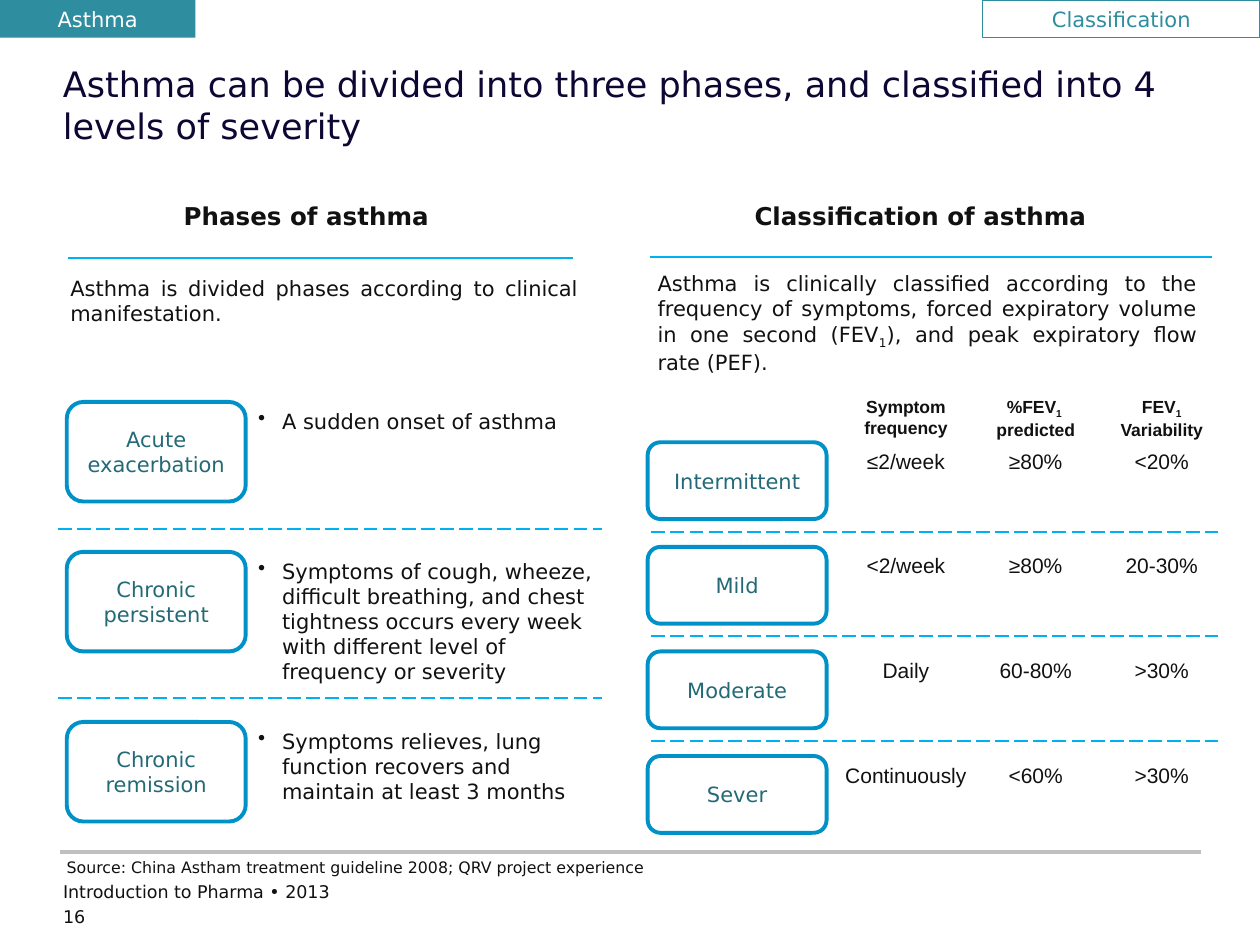
from lxml import etree
from pptx import Presentation
from pptx.dml.color import RGBColor
from pptx.enum import dml, shapes, text
from pptx.oxml.ns import qn
from pptx.util import Inches, Pt

TEAL = RGBColor(0x2E, 0x8D, 0x9E)
DARK_TEAL = RGBColor(0x23, 0x6A, 0x76)
BLUE = RGBColor(0x00, 0x91, 0xC8)
CYAN = RGBColor(0x00, 0xB0, 0xF0)
NAVY = RGBColor(0x0E, 0x07, 0x33)
INK = RGBColor(0x11, 0x11, 0x11)
GREY = RGBColor(0xC0, 0xC0, 0xC0)
WHITE = RGBColor(0xFF, 0xFF, 0xFF)
SANS, ARIAL = "DejaVu Sans", "Arial"
LEFT, CENTER, JUSTIFY = text.PP_ALIGN.LEFT, text.PP_ALIGN.CENTER, text.PP_ALIGN.JUSTIFY

PHASES = [
    (3.19, "Acute exacerbation", "A sudden onset of asthma"),
    (4.38, "Chronic persistent", "Symptoms of cough, wheeze, difficult breathing, and chest "
     "tightness occurs every week with different level of frequency or severity"),
    (5.73, "Chronic remission", "Symptoms relieves, lung function recovers and maintain "
     "at least 3 months"),
]
MEASURES = [
    (2.05, 1.13, "Symptom frequency"),
    (3.08, 1.27, "%FEV|1 |\npredicted"),
    (4.08, 1.11, "FEV|1| Variability"),
]
LEVELS = [
    ("Intermittent", "≤2/week", "≥80%", "<20%"),
    ("Mild", "<2/week", "≥80%", "20-30%"),
    ("Moderate", "Daily", "60-80%", ">30%"),
    ("Sever", "Continuously", "<60%", ">30%"),
]


def write(box, words, size=12, color=INK, font=SANS, bold=False, align=LEFT, inset=None):
    """Fill a box with text; pieces between bars become subscripts."""
    frame = box.text_frame
    frame.word_wrap = True
    if inset is not None:
        frame.margin_left = frame.margin_right = Inches(inset)
        frame.margin_top = frame.margin_bottom = Inches(inset)
    for index, line in enumerate(words.split("\n")):
        para = frame.paragraphs[0] if index == 0 else frame.add_paragraph()
        para.alignment = align
        para.font.size, para.font.name, para.font.bold = Pt(size), font, bold
        para.font.color.rgb = color
        for position, piece in enumerate(line.split("|")):
            if piece:
                span = para.add_run()
                span.text = piece
                if position % 2:
                    span.font._element.set("baseline", "-25000")


def add_text(page, left, top, width, height, words, **style):
    """Add a wrapped text box."""
    box = page.shapes.add_textbox(Inches(left), Inches(top), Inches(width), Inches(height))
    write(box, words, **style)
    return box


def add_panel(page, kind, left, top, width, height, words, color, fill=None, line=None, weight=0.75):
    """Add a labelled shape with centred text."""
    panel = page.shapes.add_shape(kind, Inches(left), Inches(top), Inches(width), Inches(height))
    panel.shadow.inherit = False
    if fill is None:
        panel.fill.background()
    else:
        panel.fill.solid()
        panel.fill.fore_color.rgb = fill
    if line is None:
        panel.line.fill.background()
    else:
        panel.line.color.rgb = line
        panel.line.width = Pt(weight)
    panel.text_frame.vertical_anchor = text.MSO_ANCHOR.MIDDLE
    write(panel, words, color=color, align=CENTER)


def add_label(page, left, top, height, words):
    """Add a rounded row label."""
    add_panel(page, shapes.MSO_SHAPE.ROUNDED_RECTANGLE, left, top, 1.42, height, words,
              DARK_TEAL, line=BLUE, weight=2.25)


def add_rule(page, left, top, width, color=CYAN, weight=1, dashed=False):
    """Add a horizontal rule."""
    rule = page.shapes.add_connector(shapes.MSO_CONNECTOR.STRAIGHT, Inches(left), Inches(top),
                                     Inches(left + width), Inches(top))
    rule.line.color.rgb = color
    rule.line.width = Pt(weight)
    if dashed:
        rule.line.dash_style = dml.MSO_LINE.LONG_DASH
    etree.SubElement(rule._element.spPr, qn("a:effectLst"))


def add_bullet(page, left, top, width, height, words):
    """Add a text box with one bulleted paragraph."""
    box = add_text(page, left, top, width, height, words)
    properties = box.text_frame.paragraphs[0]._p.get_or_add_pPr()
    properties.set("marL", str(Inches(0.19)))
    properties.set("indent", str(-Inches(0.19)))
    bullet = etree.Element(qn("a:buChar"), char="•")
    properties.insert_element_before(bullet, "a:tabLst", "a:defRPr", "a:extLst")


def add_header(page, left, top, width):
    """Place the corner tabs and the title."""
    rectangle = shapes.MSO_SHAPE.RECTANGLE
    add_panel(page, rectangle, left, top, 1.55, 0.3, "Asthma", WHITE, fill=TEAL)
    add_panel(page, rectangle, left + width - 2.2, top, 2.2, 0.3, "Classification", TEAL, line=TEAL)
    add_text(page, left + 0.5, top + 0.5, width - 1, 1,
             "Asthma can be divided into three phases, and classified into 4 levels of severity",
             size=20, color=NAVY, inset=0)


def add_phases(page, left, top):
    """Place the column of asthma phases."""
    add_text(page, left + 0.9, top, 2.52, 0.34, "Phases of asthma", size=14, bold=True)
    add_rule(page, left + 0.08, top + 0.5, 4.01)
    add_text(page, left, top + 0.59, 4.23, 0.5,
             "Asthma is divided phases according to clinical manifestation.", align=JUSTIFY)
    for row, name, detail in PHASES:
        add_label(page, left + 0.07, row, 0.79, name)
        add_bullet(page, left + 1.49, row, 2.92, 0.79, detail)
    for divider in (4.2, 5.54):
        add_rule(page, left, divider, 4.32, dashed=True)


def add_classification(page, left, top):
    """Place the grid of severity levels."""
    add_text(page, left + 0.75, top, 3.2, 0.34, "Classification of asthma", size=14, bold=True)
    add_rule(page, left + 0.02, top + 0.49, 4.46)
    add_text(page, left - 0.02, top + 0.55, 4.48, 0.91,
             "Asthma is clinically classified according to the frequency of symptoms, forced "
             "expiratory volume in one second (FEV|1|), and peak expiratory flow rate (PEF).",
             align=JUSTIFY)
    for center, width, name in MEASURES:
        add_text(page, left + center - width / 2, top + 1.54, width, 0.44, name,
                 size=10, font=ARIAL, bold=True, align=CENTER)
    for index, (name, *values) in enumerate(LEVELS):
        row = top + 1.96 + 0.83 * index
        add_label(page, left, row, 0.61, name)
        for (center, _, _), value in zip(MEASURES, values):
            add_text(page, left + center - 0.65, row, 1.3, 0.3, value, font=ARIAL, align=CENTER)
        if index:
            add_rule(page, left + 0.03, row - 0.12, 4.5, dashed=True)


def add_footer(page, left, top):
    """Place the footer rule, source, deck name and page number."""
    add_rule(page, left - 0.02, top, 9.05, color=GREY, weight=2)
    add_text(page, left + 0.03, top + 0.05, 5.5, 0.15,
             "Source: China Astham treatment guideline 2008; QRV project experience", size=9, inset=0)
    add_text(page, left, top + 0.23, 6.68, 0.23, "Introduction to Pharma • 2013", size=10, inset=0)
    add_text(page, left, top + 0.43, 0.48, 0.2, "16", size=10, inset=0)


def main():
    """Build and save the deck."""
    deck = Presentation()
    deck.slide_width, deck.slide_height = Inches(10), Inches(7.5)
    page = deck.slides.add_slide(deck.slide_layouts[6])
    add_header(page, 0, 0, 10)
    add_phases(page, 0.46, 1.55)
    add_classification(page, 5.14, 1.55)
    add_footer(page, 0.5, 6.76)
    deck.save("out.pptx")


if __name__ == "__main__":
    main()
